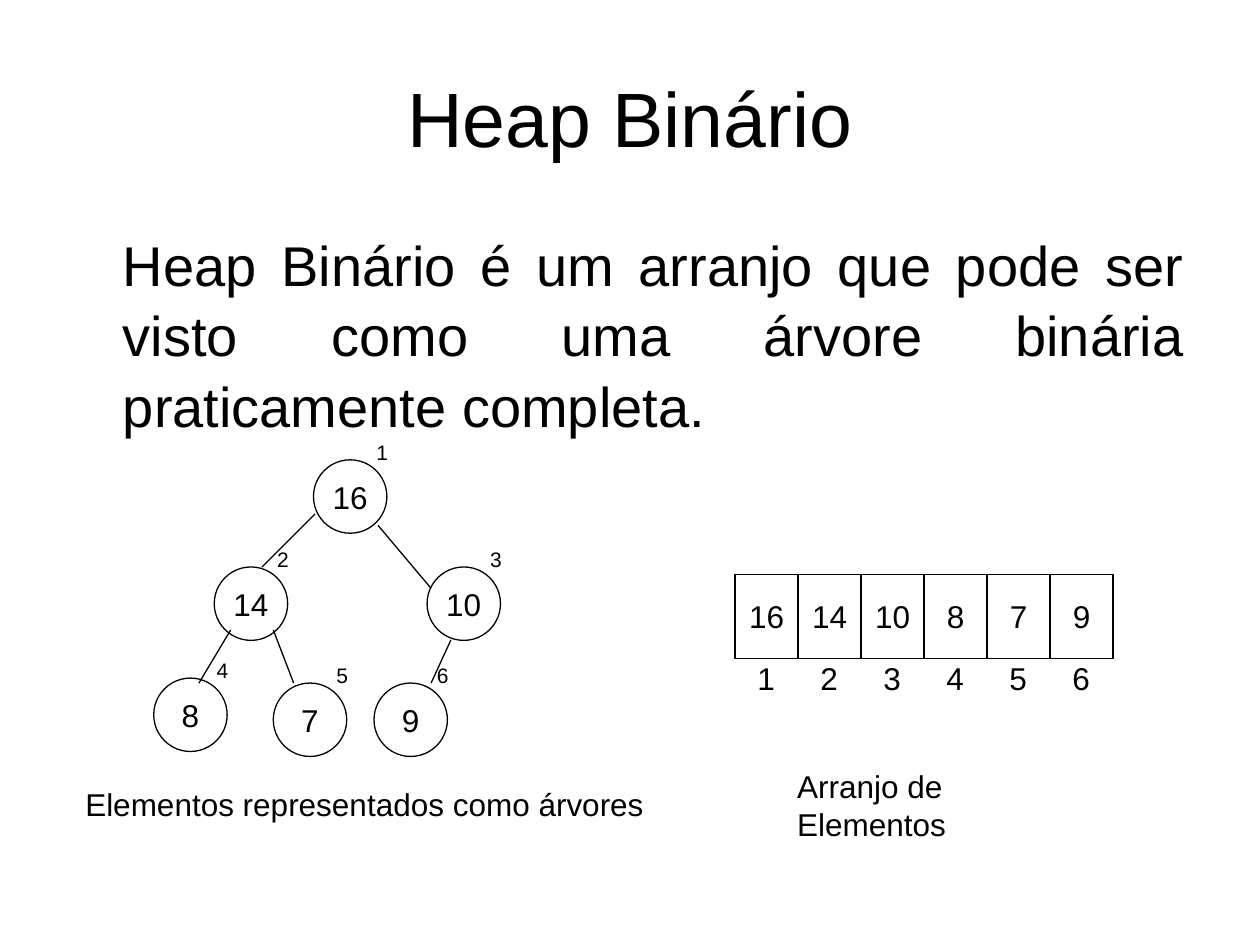
from dataclasses import dataclass

from lxml import etree
from pptx import Presentation
from pptx import util as u
from pptx.dml.color import RGBColor
from pptx.enum import shapes, text
from pptx.oxml import ns


@dataclass(frozen=True)
class Theme:
    font: str = "Arial"
    ink: RGBColor = RGBColor(0, 0, 0)
    line_width: float = 0.75
    title: int = 44
    body: int = 32
    label: int = 18
    index: int = 12


THEME = Theme()
LEFT = text.PP_ALIGN.LEFT
CENTER = text.PP_ALIGN.CENTER
TOP = text.MSO_ANCHOR.TOP
MIDDLE = text.MSO_ANCHOR.MIDDLE

# Tree nodes: key, left, top (cm), in heap order
NODES = [
    (16, 6.32, 9.27),
    (14, 4.32, 11.43),
    (10, 8.61, 11.43),
    (8, 3.1, 13.67),
    (7, 5.51, 13.77),
    (9, 7.54, 13.77),
]
NODE_SIZE = 1.48

# Tree edges: start x, start y, end x, end y (cm)
EDGES = [
    (4.01, 13.77, 4.65, 12.7),
    (5.28, 11.43, 6.35, 10.36),
    (7.62, 10.59, 8.69, 11.86),
    (5.51, 12.7, 5.92, 13.77),
    (8.69, 13.77, 9.09, 12.9),
]

# Array cells (cm)
CELL_LEFT, CELL_TOP = 14.82, 11.58
CELL_WIDTH, CELL_HEIGHT = 1.27, 1.69


def write(shape, words, size, alignment=LEFT, anchor=TOP, wrap=False):
    frame = shape.text_frame
    frame.text = words
    frame.word_wrap = wrap
    frame.vertical_anchor = anchor
    paragraph = frame.paragraphs[0]
    paragraph.alignment = alignment
    for run in paragraph.runs:
        run.font.name = THEME.font
        run.font.size = u.Pt(size)
        run.font.color.rgb = THEME.ink
    return paragraph


def add_text(parent, words, box, size, **layout):
    shape = parent.add_textbox(*map(u.Cm, box))
    write(shape, words, size, **layout)
    return shape


def add_outlined(parent, kind, words, box):
    shape = parent.add_shape(kind, *map(u.Cm, box))
    shape.shadow.inherit = False
    shape.fill.background()
    shape.line.color.rgb = THEME.ink
    shape.line.width = u.Pt(THEME.line_width)
    write(shape, words, THEME.label, alignment=CENTER, anchor=MIDDLE)


def add_node(slide, index, key, left, top):
    group = slide.shapes.add_group_shape().shapes
    add_outlined(group, shapes.MSO_SHAPE.OVAL, str(key),
                 (left, top, NODE_SIZE, NODE_SIZE))
    add_text(group, str(index), (left + 1.02, top - 0.54, 0.74, 0.76), THEME.index)


def add_edge(slide, ends):
    edge = slide.shapes.add_connector(
        shapes.MSO_CONNECTOR.STRAIGHT, *map(u.Cm, ends))
    edge.line.color.rgb = THEME.ink
    edge.line.width = u.Pt(THEME.line_width)
    etree.SubElement(edge._element.spPr, ns.qn("a:effectLst"))


def add_cell(slide, index, key):
    left = CELL_LEFT + (index - 1) * CELL_WIDTH
    add_outlined(slide.shapes, shapes.MSO_SHAPE.RECTANGLE, str(key),
                 (left, CELL_TOP, CELL_WIDTH, CELL_HEIGHT))
    add_text(slide.shapes, str(index), (left + 0.2, 13.16, 0.86, 1.02), THEME.label)


def main():
    presentation = Presentation()
    presentation.slide_width = u.Cm(25.4)
    presentation.slide_height = u.Cm(19.05)
    slide = presentation.slides.add_slide(presentation.slide_layouts[6])

    # Title and definition
    add_text(slide.shapes, "Heap Binário", (1.27, 0.76, 22.86, 3.18), THEME.title,
             alignment=CENTER, anchor=MIDDLE, wrap=True)
    definition = add_text(
        slide.shapes,
        "Heap Binário é um arranjo que pode ser visto como uma árvore binária "
        "praticamente completa.",
        (1.27, 4.45, 22.86, 12.57), THEME.body,
        alignment=text.PP_ALIGN.JUSTIFY, wrap=True)
    definition.text_frame.margin_left = u.Cm(1.21)
    paragraph = definition.text_frame.paragraphs[0]
    paragraph.space_before = u.Pt(8)
    paragraph.line_spacing = 1.05

    # Heap as a tree
    for index, node in enumerate(NODES, start=1):
        add_node(slide, index, *node)
    for ends in EDGES:
        add_edge(slide, ends)

    # Heap as an array
    for index, (key, _, _) in enumerate(NODES, start=1):
        add_cell(slide, index, key)

    # Captions
    add_text(slide.shapes, "Arranjo de Elementos",
             (15.82, 15.34, 6.6, 1.02), THEME.label)
    add_text(slide.shapes, "Elementos representados como árvores",
             (1.47, 15.7, 11.76, 1.02), THEME.label)

    presentation.save("out.pptx")


if __name__ == "__main__":
    main()
